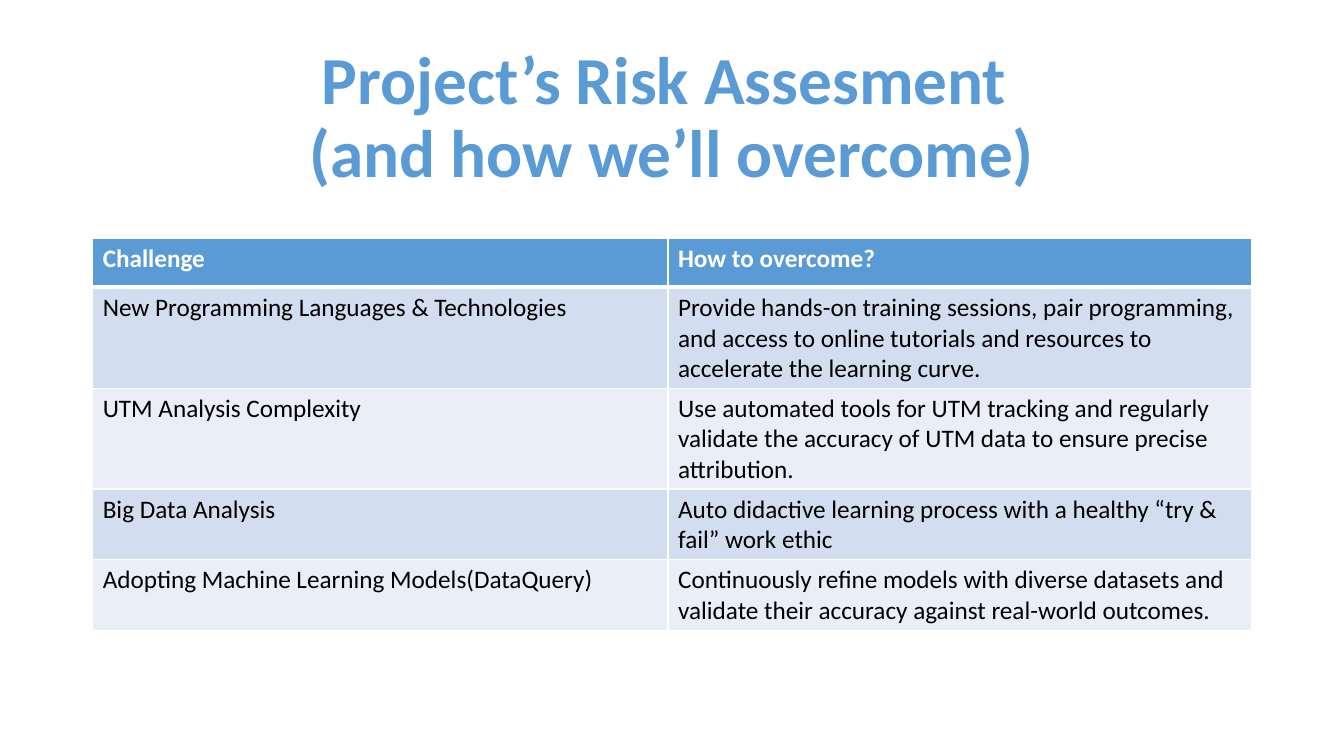
from dataclasses import dataclass

from lxml import etree
from pptx import Presentation, dml, util as u
from pptx.dml import color
from pptx.enum import text
from pptx.oxml import ns


@dataclass(frozen=True)
class Theme:
    font: str = "Calibri"
    accent: str = "5B9BD5"
    light: str = "FFFFFF"
    ink: str = "000000"
    bands: tuple[str, str] = ("D2DEEF", "EAEFF7")
    title_size: int = 48
    body_size: int = 18
    rule: int = 1
    header_rule: int = 3


@dataclass(frozen=True)
class Risk:
    challenge: str
    remedy: str
    lines: int


THEME = Theme()
WIDTH, HEIGHT = u.Inches(13.33), u.Inches(7.5)
MARGIN = 0.069  # shares of the slide's width
CONTENT = 1 - 2 * MARGIN
CHALLENGE_SHARE = 0.4966  # share of the table's width
HEADER_HEIGHT, LINE_HEIGHT, CELL_PADDING = 0.064, 0.04, 0.0133  # shares of the slide's height

TITLE = ("Project’s Risk Assesment ", "(and how we’ll overcome)")
HEADINGS = ("Challenge", "How to overcome?")
RISKS = (
    Risk("New Programming Languages & Technologies",
         "Provide hands-on training sessions, pair programming, and access to online "
         "tutorials and resources to accelerate the learning curve.", 3),
    Risk("UTM Analysis Complexity",
         "Use automated tools for UTM tracking and regularly validate the accuracy of "
         "UTM data to ensure precise attribution.", 3),
    Risk("Big Data Analysis",
         "Auto didactive learning process with a healthy “try & fail” work ethic", 2),
    Risk("Adopting Machine Learning Models(DataQuery)",
         "Continuously refine models with diverse datasets and validate their accuracy "
         "against real-world outcomes.", 2),
)


def across(share: float) -> u.Emu:
    return u.Emu(round(WIDTH * share))


def down(share: float) -> u.Emu:
    return u.Emu(round(HEIGHT * share))


def style_font(paragraph, size: int, ink: str, bold: bool) -> None:
    font = paragraph.font
    font.name, font.size, font.bold = THEME.font, u.Pt(size), bold
    font.color.rgb = color.RGBColor.from_string(ink)


def add_borders(cell, top: int, bottom: int) -> None:
    """Rule all four sides; the line elements must come before the cell's fill."""
    properties = cell._tc.get_or_add_tcPr()
    widths = {"lnL": THEME.rule, "lnR": THEME.rule, "lnT": top, "lnB": bottom}
    for side, points in widths.items():
        line = etree.SubElement(properties, ns.qn(f"a:{side}"), w=str(u.Pt(points)))
        fill = etree.SubElement(line, ns.qn("a:solidFill"))
        etree.SubElement(fill, ns.qn("a:srgbClr"), val=THEME.light)


def fill_row(table, index: int, wording: tuple[str, str]) -> None:
    header = index == 0
    band = THEME.accent if header else THEME.bands[(index - 1) % 2]
    top = THEME.header_rule if index == 1 else THEME.rule
    bottom = THEME.header_rule if header else THEME.rule
    for column, words in enumerate(wording):
        cell = table.cell(index, column)
        add_borders(cell, top, bottom)
        cell.fill.solid()
        cell.fill.fore_color.rgb = color.RGBColor.from_string(band)
        cell.text = words
        style_font(cell.text_frame.paragraphs[0], THEME.body_size,
                   THEME.light if header else THEME.ink, header)


def add_title(slide) -> None:
    heading = slide.shapes.add_textbox(
        across(MARGIN), down(0.033), across(CONTENT), down(0.25)).text_frame
    heading.word_wrap = True
    heading.vertical_anchor = text.MSO_ANCHOR.MIDDLE
    paragraph = heading.paragraphs[0]
    paragraph.text = "\v".join(TITLE)
    paragraph.alignment = text.PP_ALIGN.CENTER
    paragraph.line_spacing = 0.9
    style_font(paragraph, THEME.title_size, THEME.accent, True)


def add_risk_table(slide) -> None:
    heights = [HEADER_HEIGHT] + [CELL_PADDING + LINE_HEIGHT * risk.lines for risk in RISKS]
    table = slide.shapes.add_table(
        len(heights), len(HEADINGS), across(MARGIN), down(0.316),
        across(CONTENT), down(sum(heights))).table
    for column, share in zip(table.columns, (CHALLENGE_SHARE, 1 - CHALLENGE_SHARE)):
        column.width = across(CONTENT * share)
    for row, height in zip(table.rows, heights):
        row.height = down(height)
    wordings = [HEADINGS] + [(risk.challenge, risk.remedy) for risk in RISKS]
    for index, wording in enumerate(wordings):
        fill_row(table, index, wording)


def main() -> None:
    deck = Presentation()
    deck.slide_width, deck.slide_height = WIDTH, HEIGHT
    slide = deck.slides.add_slide(deck.slide_layouts[6])
    add_title(slide)
    add_risk_table(slide)
    deck.save("out.pptx")


if __name__ == "__main__":
    main()
